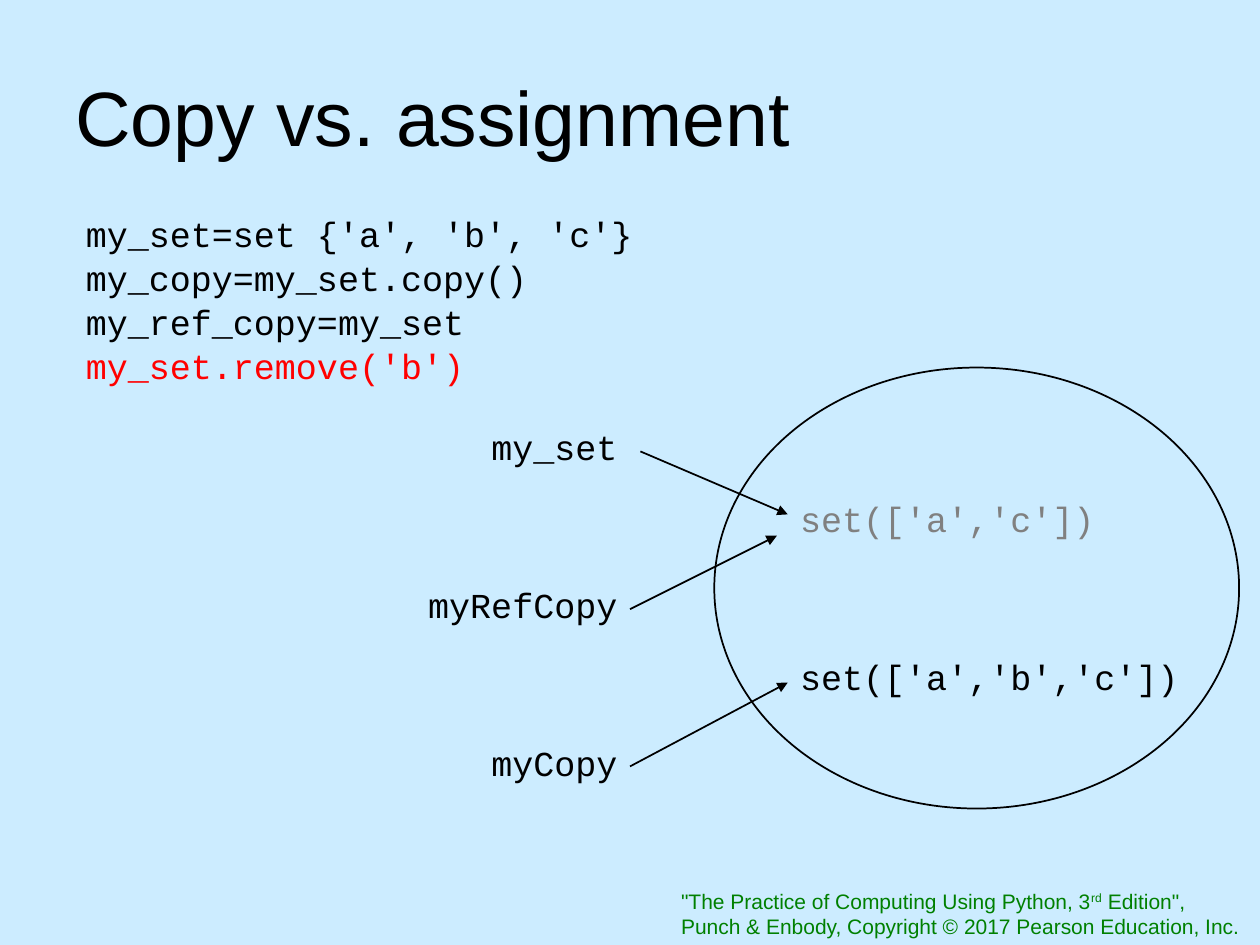
from dataclasses import dataclass

from lxml import etree
from pptx import Presentation
from pptx import util as u
from pptx.dml.color import RGBColor
from pptx.enum import shapes, text
from pptx.oxml.ns import qn


@dataclass(frozen=True)
class Theme:
    back: str = "CCECFF"
    ink: str = "000000"
    red: str = "FF0000"
    gray: str = "808080"
    green: str = "008000"
    sans: str = "Arial"
    mono: str = "Courier New"
    head: float = 44
    code: float = 20
    foot: float = 12
    rule: float = 1


@dataclass(frozen=True)
class Label:
    words: str
    left: float
    top: float
    width: float
    color: str
    right: bool = False


@dataclass(frozen=True)
class Arrow:
    x: float
    y: float
    to_x: float
    to_y: float


THEME = Theme()
ROW = 1.09  # height of a one-line code box

LABELS = [
    Label("my_set", 7.62, 8.46, 5.08, THEME.ink, True),
    Label("myCopy", 6.35, 14.82, 6.35, THEME.ink, True),
    Label("myRefCopy", 7.62, 11.64, 5.08, THEME.ink, True),
    Label("set(['a','c'])", 15.88, 9.9, 8.26, THEME.gray),
    Label("set(['a','b','c'])", 15.88, 13.08, 8.26, THEME.ink),
]
ARROWS = [
    Arrow(12.91, 9.1, 15.88, 10.37),
    Arrow(12.7, 12.28, 15.66, 10.8),
    Arrow(12.7, 15.45, 15.88, 13.76),
]


def add_text(slide, words: str, box: tuple, font: str, size: float,
             color: str, wrap: bool = True):
    """Add a text box, one paragraph to a line, and return its frame."""
    frame = slide.shapes.add_textbox(*map(u.Cm, box)).text_frame
    frame.word_wrap = wrap
    frame.text = words
    for para in frame.paragraphs:
        for run in para.runs:
            style(run, font, size, color)
    return frame


def style(run, font: str, size: float, color: str) -> None:
    run.font.name = font
    run.font.size = u.Pt(size)
    run.font.color.rgb = RGBColor.from_string(color)


def add_label(slide, label: Label) -> None:
    box = (label.left, label.top, label.width, ROW)
    frame = add_text(slide, label.words, box, THEME.mono, THEME.code,
                     label.color)
    if label.right:
        frame.paragraphs[0].alignment = text.PP_ALIGN.RIGHT


def add_arrow(slide, arrow: Arrow) -> None:
    ends = map(u.Cm, (arrow.x, arrow.y, arrow.to_x, arrow.to_y))
    link = slide.shapes.add_connector(shapes.MSO_CONNECTOR.STRAIGHT, *ends)
    link.line.color.rgb = RGBColor.from_string(THEME.ink)
    link.line.width = u.Pt(THEME.rule)
    tip = etree.SubElement(link.line._get_or_add_ln(), qn("a:tailEnd"))
    tip.set("type", "triangle")
    etree.SubElement(link._element.spPr, qn("a:effectLst"))


def main() -> None:
    deck = Presentation()
    deck.slide_width, deck.slide_height = u.Cm(25.4), u.Cm(19.05)
    slide = deck.slides.add_slide(deck.slide_layouts[6])
    slide.background.fill.solid()
    slide.background.fill.fore_color.rgb = RGBColor.from_string(THEME.back)

    # Source line, with a raised ordinal
    foot = add_text(
        slide,
        '"The Practice of Computing Using Python, 3\n'
        "Punch & Enbody, Copyright © 2017 Pearson Education, Inc.",
        (13.48, 17.78, 11.89, 1.27), THEME.sans, THEME.foot, THEME.green,
        wrap=False)
    for words, raised in (("rd", True), (' Edition",', False)):
        run = foot.paragraphs[0].add_run()
        run.text = words
        style(run, THEME.sans, THEME.foot, THEME.green)
        if raised:
            run.font._element.set("baseline", "30000")

    # Title
    title = add_text(slide, "Copy vs. assignment", (1.27, 1.27, 22.86, 2.12),
                     THEME.sans, THEME.head, THEME.ink)
    title.vertical_anchor = text.MSO_ANCHOR.MIDDLE

    # Code, with the last statement marked
    code = add_text(
        slide,
        "my_set=set {'a', 'b', 'c'}\n"
        "my_copy=my_set.copy()\n"
        "my_ref_copy=my_set\n"
        "my_set.remove('b')",
        (1.48, 4.45, 12.28, 3.66), THEME.mono, THEME.code, THEME.ink)
    for num, para in enumerate(code.paragraphs):
        para.line_spacing = 0.6
        if num:
            para.space_before = u.Pt(10.8)
    last = code.paragraphs[-1].runs[0]
    last.font.color.rgb = RGBColor.from_string(THEME.red)

    # Names, values and the links between them
    for label in LABELS:
        add_label(slide, label)
    for arrow in ARROWS:
        add_arrow(slide, arrow)

    # Ring around the values
    ring = slide.shapes.add_shape(shapes.MSO_SHAPE.OVAL,
                                  *map(u.Cm, (14.4, 7.41, 10.58, 8.89)))
    ring.shadow.inherit = False
    ring.fill.background()
    ring.line.color.rgb = RGBColor.from_string(THEME.ink)
    ring.line.width = u.Pt(THEME.rule)

    deck.save("out.pptx")


if __name__ == "__main__":
    main()
